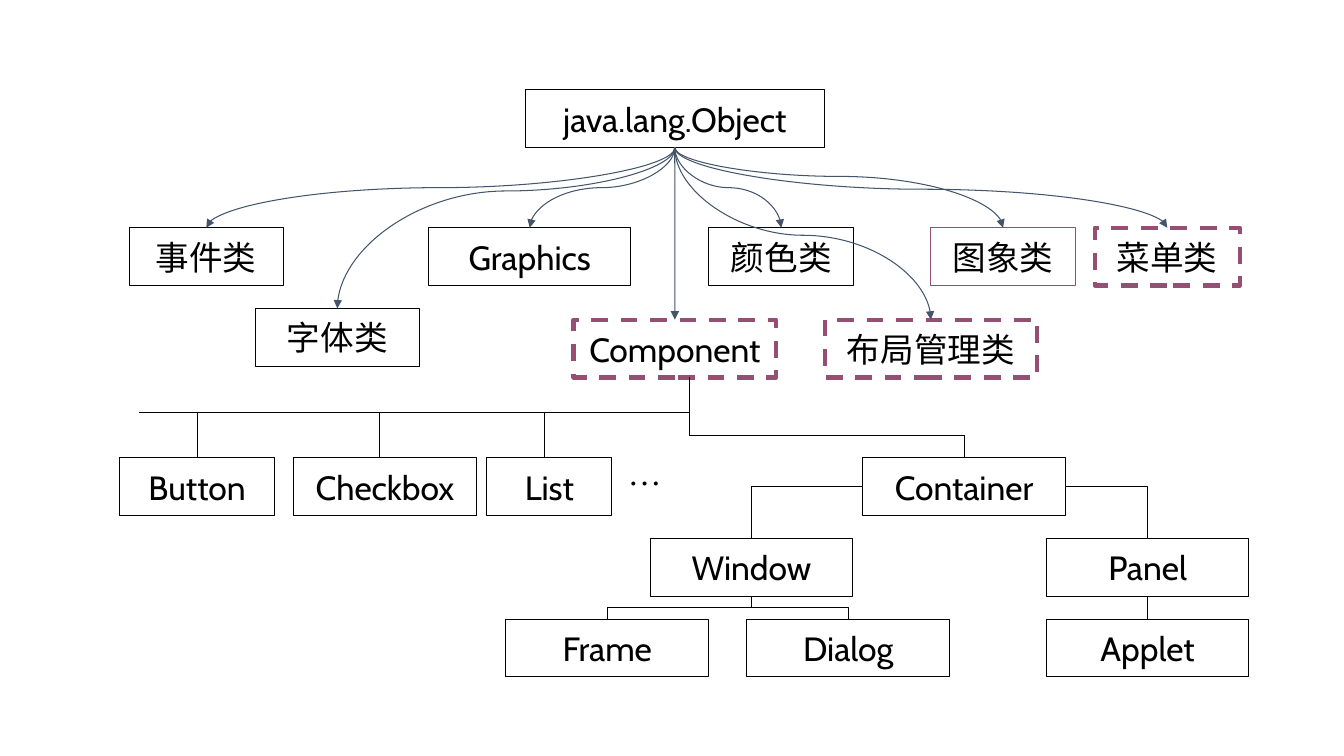
from dataclasses import dataclass

from lxml import etree
from pptx import Presentation
from pptx import util as u
from pptx.dml import color
from pptx.enum import dml, shapes, text
from pptx.oxml import ns


@dataclass(frozen=True)
class Theme:
    ink: str = "000000"
    paper: str = "FFFFFF"
    accent: str = "954F72"
    arrow: str = "44546A"
    font: str = "Cabin"
    ellipsis_font: str = "Times New Roman"
    size: float = 24
    thin: float = 0.75
    thick: float = 3


THEME = Theme()
BOX_HEIGHT = 41.3
WIDE = 144.7
TOP, LEFT, BOTTOM, RIGHT = 0, 1, 2, 3
ROOT_Y, CLASS_Y, FONT_Y, DASHED_Y = 64.1, 162.7, 220.3, 228.3
WIDGET_Y, WINDOW_Y, LEAF_Y = 327, 384.5, 442.2
TRUNK_X, RAIL_Y, BRANCH_Y = 492.5, 294.5, 311


@dataclass(frozen=True)
class ClassBox:
    label: str
    left: float
    top: float
    width: float = WIDE
    line: str = THEME.ink
    dashed: bool = False


@dataclass(frozen=True)
class Link:
    parent: str
    child: str
    preset: str
    side: int = BOTTOM
    bend: float = 0.5
    arrow: bool = False


BOXES = [
    ClassBox("java.lang.Object", 375.1, ROOT_Y, 213.8),
    ClassBox("事件类", 92.2, CLASS_Y, 110.2),
    ClassBox("字体类", 182.2, FONT_Y, 117.4),
    ClassBox("Graphics", 306, CLASS_Y),
    ClassBox("Component", 409.7, DASHED_Y, WIDE, THEME.accent, True),
    ClassBox("颜色类", 506.2, CLASS_Y, 103.7),
    ClassBox("布局管理类", 589, DASHED_Y, 151.9, THEME.accent, True),
    ClassBox("图象类", 664.6, CLASS_Y, 103.7, THEME.accent),
    ClassBox("菜单类", 781.9, CLASS_Y, 103.7, THEME.accent, True),
    ClassBox("Button", 85.7, WIDGET_Y, 110.2),
    ClassBox("Checkbox", 209.5, WIDGET_Y, 131),
    ClassBox("List", 347.8, WIDGET_Y, 89.3),
    ClassBox("Container", 616.3, WIDGET_Y),
    ClassBox("Window", 464.4, WINDOW_Y),
    ClassBox("Panel", 747.4, WINDOW_Y),
    ClassBox("Frame", 361.4, LEAF_Y),
    ClassBox("Dialog", 533.5, LEAF_Y),
    ClassBox("Applet", 747.4, LEAF_Y),
]

OBJECT_BENDS = {
    "事件类": 0.5, "字体类": 0.27, "Graphics": 0.5, "颜色类": 0.5,
    "图象类": 0.36, "布局管理类": 0.51, "菜单类": 0.52,
}
LINKS = [
    *(Link("java.lang.Object", child, "curvedConnector3", bend=bend, arrow=True)
      for child, bend in OBJECT_BENDS.items()),
    Link("java.lang.Object", "Component", "line", arrow=True),
    Link("Container", "Window", "bentConnector2", LEFT),
    Link("Container", "Panel", "bentConnector2", RIGHT),
    Link("Window", "Frame", "bentConnector3"),
    Link("Window", "Dialog", "bentConnector3"),
    Link("Panel", "Applet", "line"),
]


def rgb(value: str) -> color.RGBColor:
    return color.RGBColor.from_string(value)


def apply(target, formats: dict) -> None:
    for attribute, value in formats.items():
        setattr(target, attribute, value)


def add_box(slide, left: float, top: float, width: float, height: float,
            label: str, font: str, align, anchor):
    box = slide.shapes.add_shape(shapes.MSO_SHAPE.RECTANGLE, u.Pt(left), u.Pt(top),
                                 u.Pt(width), u.Pt(height))
    box.shadow.inherit = False
    box.fill.solid()
    box.fill.fore_color.rgb = rgb(THEME.paper)
    apply(box.text_frame, {"word_wrap": False, "vertical_anchor": anchor})
    paragraph = box.text_frame.paragraphs[0]
    paragraph.alignment = align
    run = paragraph.add_run()
    run.text = label
    apply(run.font, {"name": font, "size": u.Pt(THEME.size)})
    run.font.color.rgb = rgb(THEME.ink)
    return box


def add_class(slide, spec_box: ClassBox):
    box = add_box(slide, spec_box.left, spec_box.top, spec_box.width, BOX_HEIGHT,
                  spec_box.label, THEME.font, text.PP_ALIGN.CENTER,
                  text.MSO_ANCHOR.MIDDLE)
    box.line.color.rgb = rgb(spec_box.line)
    box.line.width = u.Pt(THEME.thick if spec_box.dashed else THEME.thin)
    if spec_box.dashed:
        box.line.dash_style = dml.MSO_LINE.DASH
    return box


def add_line(slide, x1: float, y1: float, x2: float, y2: float,
             ink: str = THEME.ink, arrow: bool = False):
    line = slide.shapes.add_connector(shapes.MSO_CONNECTOR.STRAIGHT, u.Pt(x1), u.Pt(y1),
                                      u.Pt(x2), u.Pt(y2))
    line.line.color.rgb = rgb(ink)
    line.line.width = u.Pt(THEME.thin)
    properties = line._element.spPr
    if arrow:
        etree.SubElement(properties.find(ns.qn("a:ln")), ns.qn("a:tailEnd"), type="triangle")
    etree.SubElement(properties, ns.qn("a:effectLst"))
    return line


def turn_downward(line) -> None:
    dx, dy = line.end_x - line.begin_x, line.end_y - line.begin_y
    middle_x, middle_y = line.begin_x + dx / 2, line.begin_y + dy / 2
    apply(line, {
        "left": u.Emu(int(middle_x - dy / 2)), "top": u.Emu(int(middle_y - abs(dx) / 2)),
        "width": u.Emu(dy), "height": u.Emu(abs(dx)),
    })
    apply(line._element.spPr.xfrm, {"flipH": dx > 0, "rot": 270.0 if dx > 0 else 90.0})


def add_link(slide, link: Link, boxes: dict) -> None:
    line = add_line(slide, 0, 0, 0, 0, THEME.arrow if link.arrow else THEME.ink, link.arrow)
    line.begin_connect(boxes[link.parent], link.side)
    line.end_connect(boxes[link.child], TOP)
    geometry = line._element.spPr.find(ns.qn("a:prstGeom"))
    geometry.set("prst", link.preset)
    if link.preset.endswith("3"):
        turn_downward(line)
        etree.SubElement(geometry.find(ns.qn("a:avLst")), ns.qn("a:gd"), name="adj1",
                         fmla=f"val {round(link.bend * 100000)}")


def main() -> None:
    presentation = Presentation()
    apply(presentation, {"slide_width": u.Pt(960), "slide_height": u.Pt(540)})
    slide = presentation.slides.add_slide(presentation.slide_layouts[6])

    boxes = {entry.label: add_class(slide, entry) for entry in BOXES}
    more_widgets = add_box(slide, 441.4, 319, 43.9, 49, "…", THEME.ellipsis_font,
                           text.PP_ALIGN.LEFT, text.MSO_ANCHOR.TOP)
    more_widgets.line.fill.background()

    for link in LINKS:
        add_link(slide, link, boxes)

    add_line(slide, TRUNK_X, DASHED_Y + BOX_HEIGHT, TRUNK_X, BRANCH_Y)
    add_line(slide, 99.4, RAIL_Y, TRUNK_X, RAIL_Y)
    container_x = 616.3 + WIDE / 2
    add_line(slide, TRUNK_X, BRANCH_Y, container_x, BRANCH_Y)
    container_drop = add_line(slide, container_x, BRANCH_Y, container_x, WIDGET_Y)
    container_drop.end_connect(boxes["Container"], TOP)
    button_drop = add_line(slide, 140.8, RAIL_Y, 140.8, WIDGET_Y)
    button_drop.end_connect(boxes["Button"], TOP)
    for drop_x in (271.4, 388.8):
        add_line(slide, drop_x, RAIL_Y, drop_x, WIDGET_Y)

    presentation.save("out.pptx")


if __name__ == "__main__":
    main()
